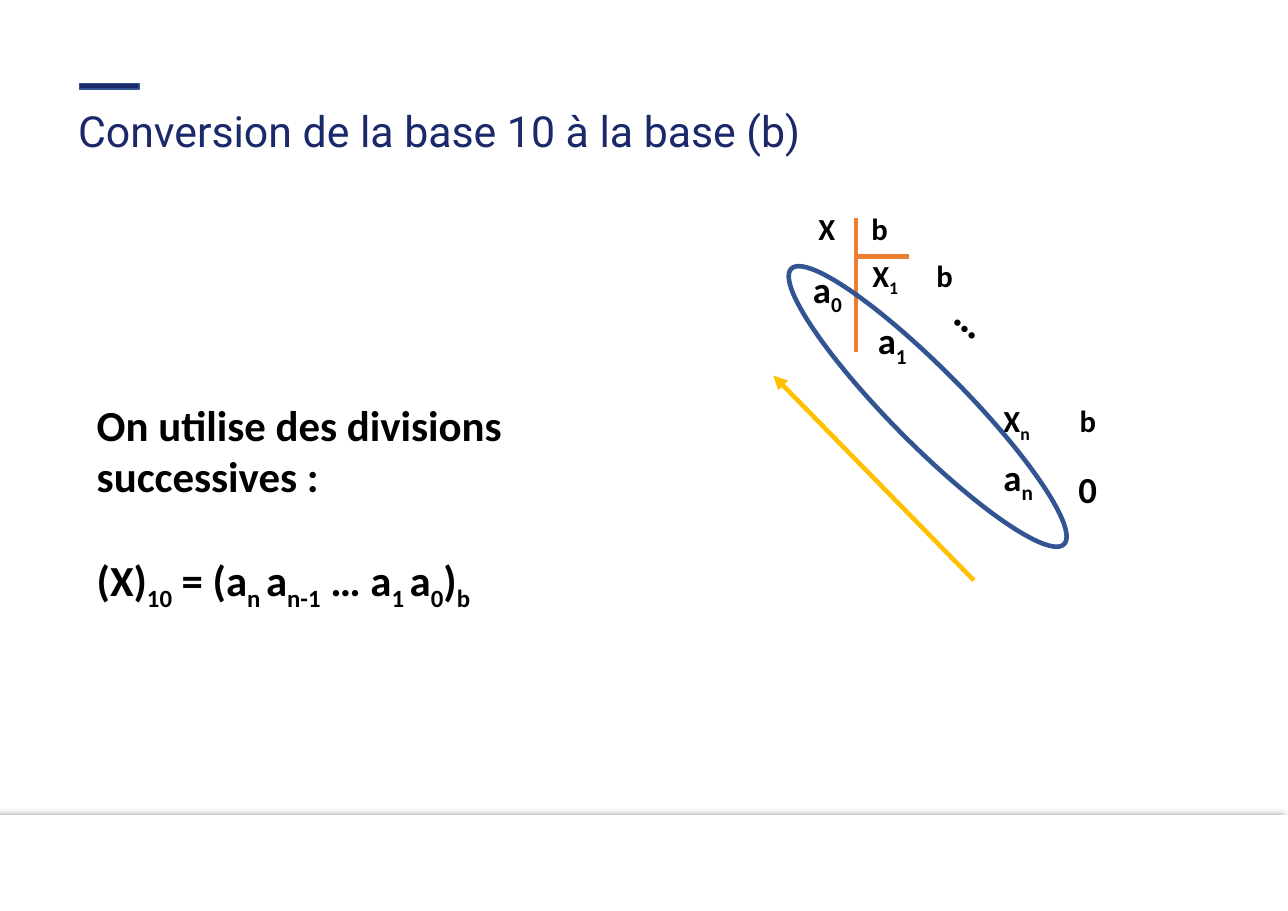
from dataclasses import dataclass
from lxml.etree import SubElement
from pptx import Presentation
from pptx.dml.color import RGBColor
from pptx.enum.shapes import MSO_CONNECTOR, MSO_SHAPE
from pptx.oxml import parse_xml
from pptx.oxml.ns import nsdecls, qn
from pptx.util import Inches, Pt

COLOURS = {
    "white": "FFFFFF", "navy": "1B296A", "blue": "325491",
    "orange": "ED7D31", "gold": "FFC000", "black": "000000",
}
WIDTH, HEIGHT = Inches(11.69), Inches(8.27)


@dataclass
class Area:
    """Left, top, width and height in percent of the slide."""
    left: float
    top: float
    width: float
    height: float

    def emu(self) -> tuple[int, int, int, int]:
        return (across(self.left), down(self.top),
                across(self.width), down(self.height))


@dataclass
class Label:
    """Its terms alternate between normal text and subscript."""
    terms: tuple[str, ...]
    area: Area
    size: int
    wrap: bool = True
    rotation: float = 0


@dataclass
class Stroke:
    start: tuple[float, float]
    end: tuple[float, float]
    colour: str
    arrow: bool = False


def across(percent: float) -> int:
    return round(WIDTH * percent / 100)


def down(percent: float) -> int:
    return round(HEIGHT * percent / 100)


def rgb(name: str) -> RGBColor:
    return RGBColor.from_string(COLOURS[name])


def write(paragraph, terms: tuple[str, ...], size: int,
          face: str = "Calibri", colour: str = "black", bold: bool = True) -> None:
    font = paragraph.font
    font.name, font.size, font.bold = face, Pt(size), bold
    font.color.rgb = rgb(colour)
    for index, term in enumerate(terms):
        run = paragraph.add_run()
        run.text = term
        if index % 2:
            run._r.get_or_add_rPr().set("baseline", "-25000")


def add_frame(slide, area: Area, wrap: bool = True, rotation: float = 0):
    box = slide.shapes.add_textbox(*area.emu())
    box.rotation = rotation
    box.text_frame.word_wrap = wrap
    return box.text_frame


def add_label(slide, label: Label) -> None:
    frame = add_frame(slide, label.area, label.wrap, label.rotation)
    write(frame.paragraphs[0], label.terms, label.size)


def add_figure(slide, kind: MSO_SHAPE, area: Area, fill: str = "",
               line: str = "", weight: float = 1):
    figure = slide.shapes.add_shape(kind, *area.emu())
    figure.shadow.inherit = False
    if fill:
        figure.fill.solid()
        figure.fill.fore_color.rgb = rgb(fill)
    else:
        figure.fill.background()
    if line:
        figure.line.color.rgb = rgb(line)
        figure.line.width = Pt(weight)
    else:
        figure.line.fill.background()
    return figure


def add_stroke(slide, stroke: Stroke) -> None:
    (x1, y1), (x2, y2) = stroke.start, stroke.end
    connector = slide.shapes.add_connector(
        MSO_CONNECTOR.STRAIGHT, across(x1), down(y1), across(x2), down(y2))
    connector.line.color.rgb = rgb(stroke.colour)
    connector.line.width = Pt(3)
    properties = connector._element.spPr
    if stroke.arrow:
        SubElement(properties.find(qn("a:ln")), qn("a:tailEnd"), type="triangle")
    SubElement(properties, qn("a:effectLst"))


def add_shadow(figure) -> None:
    effects = figure._element.spPr.find(qn("a:effectLst"))
    effects.append(parse_xml(
        f'<a:outerShdw {nsdecls("a")} blurRad="{Pt(4)}" dist="{Pt(3)}" dir="10800000">'
        f'<a:srgbClr val="{COLOURS["black"]}"><a:alpha val="40000"/></a:srgbClr>'
        '</a:outerShdw>'))


# Division ladder: dividends, divisors, remainders, last quotient
FIRST_ROW, SECOND_ROW, LAST_ROW = 22.49, 27.57, 43.53
LADDER = [
    Label(("X",), Area(62.7, FIRST_ROW, 3.42, 6.05), 20, wrap=False),
    Label(("X", "1"), Area(66.89, SECOND_ROW, 4.36, 6.05), 20, wrap=False),
    Label(("X", "n"), Area(77.07, LAST_ROW, 4.36, 6.05), 20, wrap=False),
    *(Label(("b",), Area(left, top, 2.57, 6.05), 20)
      for left, top in ((66.81, FIRST_ROW), (71.86, SECOND_ROW), (82.98, LAST_ROW))),
    *(Label(("a", rank), Area(left, top, 4.79, 6.89), 24)
      for rank, left, top in (("0", 62.28, 28.66), ("1", 67.32, 34.34),
                              ("n", 77.07, 49.33))),
    Label(("…",), Area(73.31, 31.68, 4.53, 7.86), 28, rotation=41.8),
    Label(("0",), Area(82.89, 50.67, 3.59, 6.89), 24, wrap=False),
]
DIVISION_BARS = [
    Stroke((66.47, 23.94), (66.47, 38.69), "orange"),
    Stroke((66.47, 28.17), (70.57, 28.17), "orange"),
]
READING_ORDER = Stroke((75.62, 63.72), (60.05, 41.23), "gold", arrow=True)
FORMULA = ("(X)", "10", " = (a", "n ", "a", "n-1", " … a", "1 ", "a", "0", ")", "b")


def main() -> None:
    deck = Presentation()
    deck.slide_width, deck.slide_height = WIDTH, HEIGHT
    slide = deck.slides.add_slide(deck.slide_layouts[6])

    # Footer band and title accent
    add_shadow(add_figure(slide, MSO_SHAPE.RECTANGLE,
                          Area(0, 89.48, 100, 10.52), "white"))
    add_figure(slide, MSO_SHAPE.RECTANGLE, Area(6.16, 9.19, 4.62, 0.6), "navy", "blue")

    # Title
    title = add_frame(slide, Area(5.22, 11.49, 88.62, 3.75)).paragraphs[0]
    title.line_spacing = 0.9
    write(title, ("Conversion de la base 10 à la base (b)",), 28, "Roboto", "navy", False)

    # Successive divisions
    for bar in DIVISION_BARS:
        add_stroke(slide, bar)
    for label in LADDER:
        add_label(slide, label)

    # Remainders, read from last to first
    remainders = add_figure(slide, MSO_SHAPE.OVAL, Area(69.12, 23.34, 5.82, 42.56),
                            line="blue", weight=3)
    remainders.rotation = 315.3
    add_stroke(slide, READING_ORDER)

    # Explanation and formula
    explanation = add_frame(slide, Area(6.67, 43.17, 49.02, 27.69))
    write(explanation.paragraphs[0], ("On utilise des divisions successives :",), 28)
    formula = explanation.add_paragraph()
    formula.space_before = Pt(34)
    write(formula, FORMULA, 28)

    deck.save("out.pptx")


if __name__ == "__main__":
    main()
